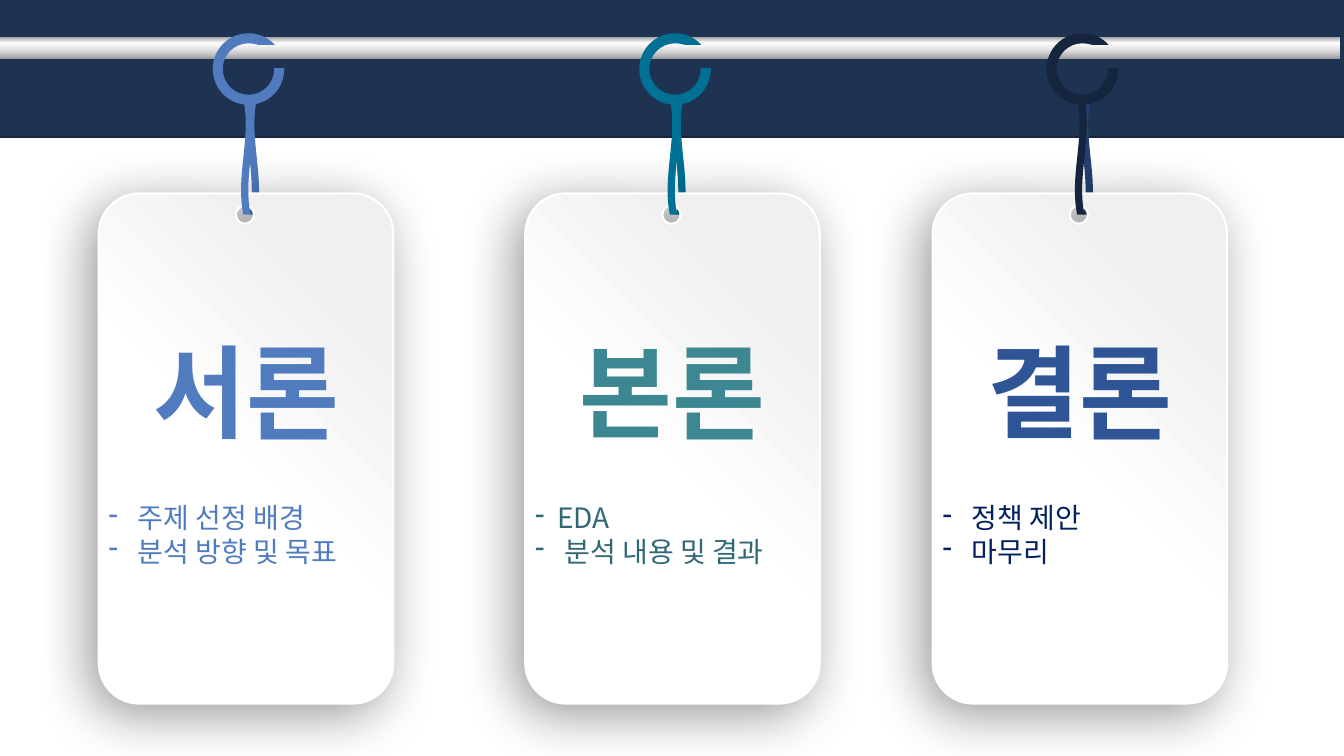
from math import cos, radians, sin, tan

from lxml.etree import SubElement
from pptx import Presentation
from pptx.dml.color import RGBColor
from pptx.enum.shapes import MSO_SHAPE as Preset
from pptx.enum.text import MSO_ANCHOR as Anchor, PP_ALIGN as Align
from pptx.oxml import parse_xml
from pptx.oxml.ns import nsdecls, qn
from pptx.util import Inches, Pt

NAVY = RGBColor(0x1E, 0x32, 0x52)
NAVY_EDGE = RGBColor(0x16, 0x25, 0x3D)
INK = RGBColor(0x16, 0x25, 0x3E)
BLUE = RGBColor(0x50, 0x7B, 0xBF)
TEAL = RGBColor(0x00, 0x70, 0x95)
TEAL_TITLE = RGBColor(0x3D, 0x87, 0x92)
TEAL_TEXT = RGBColor(0x31, 0x68, 0x76)
ROYAL = RGBColor(0x24, 0x40, 0x72)
ROYAL_TITLE = RGBColor(0x2F, 0x55, 0x97)
DEEP = RGBColor(0x00, 0x20, 0x60)
WHITE = RGBColor(0xFF, 0xFF, 0xFF)
PALE = RGBColor(0xF0, 0xF0, 0xF0)
STEEL = RGBColor(0x97, 0x97, 0x97)
SILVER = RGBColor(0xD7, 0xD7, 0xD7)
GRAY = RGBColor(0xA6, 0xA6, 0xA6)

UPWARD = '<a:lin ang="16200000" scaled="0"/>'
FROM_CORNER = '<a:path path="circle"><a:fillToRect t="100000" r="100000"/></a:path>'
WIDE, NARROW = 0.29, 0.22


def arc(x, y, radius, *angles):
    """Return one curve of three points for each step between angles in degrees."""
    curves = []
    for start, end in zip(map(radians, angles), map(radians, angles[1:])):
        pull = 4 / 3 * tan((end - start) / 4)
        curves.append([
            (x + radius * (cos(start) - pull * sin(start)),
             y + radius * (sin(start) + pull * cos(start))),
            (x + radius * (cos(end) + pull * sin(end)),
             y + radius * (sin(end) - pull * cos(end))),
            (x + radius * cos(end), y + radius * sin(end)),
        ])
    return curves


class TagSlide:
    """Hold the style and the current slide, and draw each kind of element."""

    def __init__(self, page, font):
        """Draw on the page with the given font."""
        self.page = page
        self.font = font
        self.layer = page.shapes

    def finish(self, shape, fill=None, line=None, width=1):
        """Set the fill and line of a shape and drop its shadow."""
        if fill is not None:
            shape.fill.solid()
            shape.fill.fore_color.rgb = fill
        if line is None:
            shape.line.fill.background()
        else:
            shape.line.color.rgb = line
            shape.line.width = Pt(width)
        shape.shadow.inherit = False
        return shape

    def preset(self, kind, left, top, width, height, fill=None, line=None):
        """Add a preset shape."""
        lengths = map(Inches, (left, top, width, height))
        return self.finish(self.layer.add_shape(kind, *lengths), fill, line)

    def outline(self, contours, fill=None, line=None, width=1):
        """Add a closed shape from contours of a start point, lines and curves."""
        builder = None
        for start, segments in contours:
            corner = [Inches(length) for length in start]
            if builder is None:
                builder = self.layer.build_freeform(*corner)
            else:
                builder.move_to(*corner)
            ends = [[Inches(length) for length in segment[-1]] for segment in segments]
            builder.add_line_segments(ends, close=True)
        shape = builder.convert_to_shape()
        steps = [segment for _, segments in contours for segment in segments]
        for step, segment in zip(list(shape._element.iter(qn("a:lnTo"))), steps):
            if len(segment) == 3:
                points = "".join(
                    f'<a:pt x="{Inches(x) - shape.left}" y="{Inches(y) - shape.top}"/>'
                    for x, y in segment
                )
                curve = f'<a:cubicBezTo {nsdecls("a")}>{points}</a:cubicBezTo>'
                step.getparent().replace(step, parse_xml(curve))
        return self.finish(shape, fill, line, width)

    def gradient(self, shape, stops, direction):
        """Fill a shape with a gradient."""
        shape.fill.background()
        marks = "".join(
            f'<a:gs pos="{place * 1000}"><a:srgbClr val="{colour}"/></a:gs>'
            for place, colour in stops
        )
        blank = shape._element.spPr.find(qn("a:noFill"))
        blank.getparent().replace(blank, parse_xml(
            f'<a:gradFill {nsdecls("a")} rotWithShape="1">'
            f"<a:gsLst>{marks}</a:gsLst>{direction}</a:gradFill>"
        ))

    def shadow(self, shape):
        """Cast a soft shadow to the lower left."""
        effects = shape._element.spPr.find(qn("a:effectLst"))
        effects.append(parse_xml(
            f'<a:outerShdw {nsdecls("a")} blurRad="{Pt(39)}" dist="{Pt(10)}" '
            'dir="8100000" algn="tr" rotWithShape="0"><a:srgbClr val="000000">'
            '<a:alpha val="40000"/></a:srgbClr></a:outerShdw>'
        ))

    def style(self, para, size, colour, bold):
        """Set the font of a paragraph."""
        para.font.size = Pt(size)
        para.font.bold = bold
        para.font.color.rgb = colour
        para.font.name = self.font
        SubElement(para.font._element, qn("a:ea"), typeface=self.font)

    def dash(self, para, indent):
        """Give a paragraph a hanging dash."""
        properties = para._p.get_or_add_pPr()
        properties.set("marL", str(Inches(indent)))
        properties.set("indent", str(-Inches(indent)))
        SubElement(properties, qn("a:buChar"), char="-")

    def strand(self, left, colour, mirrored=False):
        """Add one wavy strand of the string."""
        wave = self.preset(Preset.WAVE, left, 1.5, 1.14, 0.12, colour)
        wave.adjustments[0] = 0.2
        wave.adjustments[1] = 0
        wave.rotation = 270 if mirrored else 90
        if mirrored:
            wave._element.spPr.get_or_add_xfrm().set("flipV", "1")

    def ring(self, left, top, colour):
        """Add an open ring."""
        outer = 0.71 / 2
        inner = outer - 0.1
        x, y = left + outer, top + outer
        segments = [
            *arc(x, y, outer, 270, 314),
            [(x + 0.26, y - 0.24)],
            [(x + 0.1, y - 0.24)],
            *arc(x, y, inner, 293, 270, 180, 90, 0),
            [(x + inner, y - 0.01)],
            [(x + outer, y - 0.01)],
            [(x + outer, y)],
            *arc(x, y, outer, 0, 90, 180, 270),
        ]
        self.outline([((x, top), segments)], colour)

    def card(self, left, title, title_colour, lines, text_colour):
        """Add a punched card with a title and dashed lines."""
        top, width, height, radius = 1.92, 2.92, 5.06, 0.4
        right, bottom = left + width, top + height
        near, far = left + radius, right - radius
        high, low = top + radius, bottom - radius
        border = [
            [(far, top)], *arc(far, high, radius, 270, 360),
            [(right, low)], *arc(far, low, radius, 0, 90),
            [(near, bottom)], *arc(near, low, radius, 90, 180),
            [(left, high)], *arc(near, high, radius, 180, 270),
        ]
        x, y, punch = left + 1.45, 2.13, 0.09
        hole = arc(x, y, punch, 270, 180, 90, 0, -90)
        contours = [((x, y - punch), hole), ((near, top), border)]
        card = self.outline(contours, line=WHITE, width=1.5)
        self.gradient(card, [(45, WHITE), (81, PALE)], FROM_CORNER)
        self.shadow(card)
        box = card.text_frame
        box.word_wrap = True
        box.vertical_anchor = Anchor.MIDDLE
        heading = box.paragraphs[0]
        heading.text = title
        heading.alignment = Align.CENTER
        self.style(heading, 72, title_colour, True)
        for index, (text, indent) in enumerate(lines):
            para = box.add_paragraph()
            para.text = text
            para.alignment = Align.LEFT
            self.dash(para, indent)
            para.space_before = Pt(0 if index else 36)
            self.style(para, 20, text_colour, False)

    def tag(self, left, back, front, *content):
        """Add a grouped card hanging from its ring."""
        self.layer = self.page.shapes.add_group_shape().shapes
        self.strand(left + 0.96, back, mirrored=True)
        self.ring(left + 1.13, 0.33, front)
        self.card(left, *content)
        self.strand(left + 0.9, front)
        self.layer = self.page.shapes


def main():
    """Build the slide and save it."""
    deck = Presentation()
    deck.slide_width, deck.slide_height = Inches(13.33), Inches(7.5)
    slide = TagSlide(deck.slides.add_slide(deck.slide_layouts[6]), "Noto Sans CJK KR")
    slide.preset(Preset.RECTANGLE, -0.12, -0.16, 13.84, 1.52, NAVY, NAVY_EDGE)
    rod = slide.preset(Preset.RECTANGLE, -0.04, 0.37, 13.33, 0.22)
    slide.gradient(rod, [(0, STEEL), (35, SILVER), (74, WHITE), (100, GRAY)], UPWARD)
    slide.tag(0.98, BLUE, BLUE, "서론", BLUE,
              [("주제 선정 배경", WIDE), ("분석 방향 및 목표", WIDE)], BLUE)
    slide.tag(5.21, TEAL, TEAL, "본론", TEAL_TITLE,
              [("EDA", NARROW), ("분석 내용 및 결과", WIDE)], TEAL_TEXT)
    slide.tag(9.25, ROYAL, INK, "결론", ROYAL_TITLE,
              [("정책 제안", WIDE), ("마무리", WIDE)], DEEP)
    deck.save("out.pptx")


if __name__ == "__main__":
    main()
